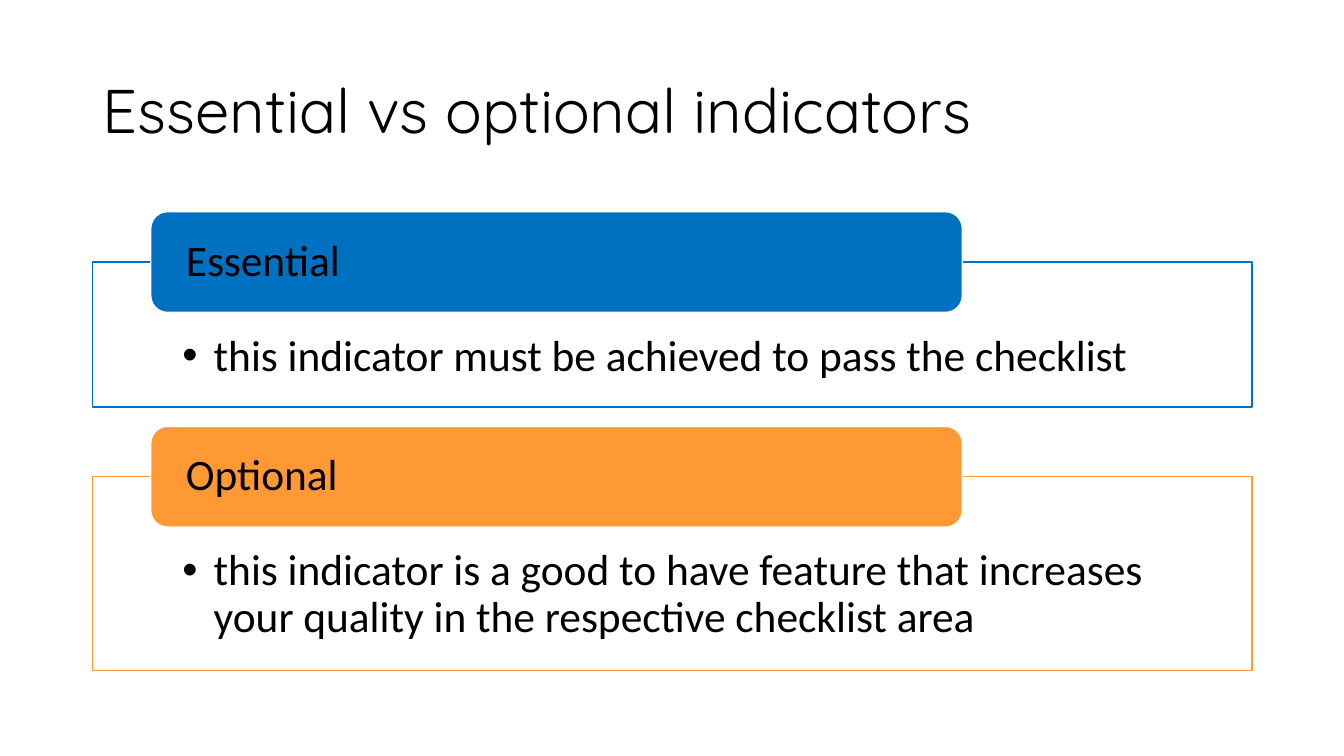
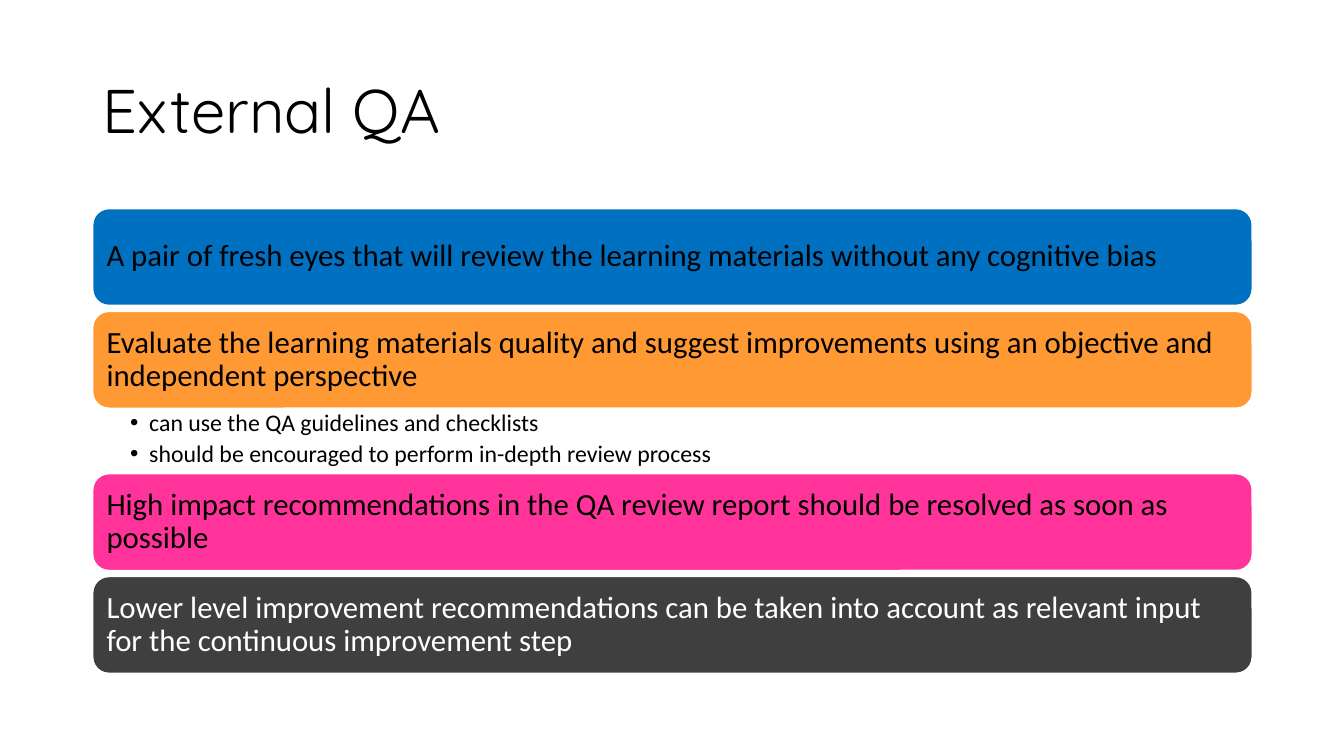
import pptx
import pptx.util
import pptx.dml.color
import pptx.enum.shapes
import pptx.enum.text
from lxml import etree

Inches = pptx.util.Inches
Pt = pptx.util.Pt
SHAPE = pptx.enum.shapes.MSO_SHAPE
ANCHOR = pptx.enum.text.MSO_ANCHOR

BLUE, ORANGE, PINK, GREY = "0070C0", "FF9933", "FF3399", "3F3F3F"
BLACK, WHITE = "000000", "FFFFFF"
TITLE_FONT, BODY_FONT = "Quicksand", "Calibri"
LEFT, WIDTH = 0.92, 11.5

INDICATORS = [
    ("Essential", BLUE, 1.44, "this indicator must be achieved to pass the checklist"),
    ("Optional", ORANGE, 1.92,
     "this indicator is a good to have feature that increases your quality "
     "in the respective checklist area"),
]
REVIEW_POINTS = [
    ("A pair of fresh eyes that will review the learning materials without any "
     "cognitive bias", BLUE, BLACK, []),
    ("Evaluate the learning materials quality and suggest improvements using an "
     "objective and independent perspective", ORANGE, BLACK,
     ["can use the QA guidelines and checklists",
      "should be encouraged to perform in-depth review process"]),
    ("High impact recommendations in the QA review report should be resolved as "
     "soon as possible", PINK, BLACK, []),
    ("Lower level improvement recommendations can be taken into account as relevant "
     "input for the continuous improvement step", GREY, WHITE, []),
]


def rgb(value):
    return pptx.dml.color.RGBColor.from_string(value)


def add_bullet(p, indent):
    pPr = p._p.get_or_add_pPr()
    pPr.set("marL", str(Inches(indent)))
    pPr.set("indent", str(-Inches(indent)))
    for tag, name, value in (("buFont", "typeface", "Arial"), ("buChar", "char", "•")):
        etree.SubElement(pPr, pptx.oxml.ns.qn("a:" + tag)).set(name, value)


def write(sp, lines, size, color=BLACK, font=BODY_FONT, anchor=ANCHOR.MIDDLE,
          insets=(0.1, 0.05, 0.1, 0.05), indent=0, gap=0):
    """Fill a shape with paragraphs; an indent makes them bullets."""
    tf = sp.text_frame
    tf.word_wrap = True
    tf.vertical_anchor = anchor
    (tf.margin_left, tf.margin_top,
     tf.margin_right, tf.margin_bottom) = map(Inches, insets)
    tf.text = "\n".join(lines)
    for i, p in enumerate(tf.paragraphs):
        p.alignment = pptx.enum.text.PP_ALIGN.LEFT
        p.line_spacing = 0.9
        if i:
            p.space_before = Pt(gap)
        if indent:
            add_bullet(p, indent)
        for r in p.runs:
            r.font.size = Pt(size)
            r.font.name = font
            r.font.color.rgb = rgb(color)


def add_box(s, kind, x, y, w, h, fill, line):
    sp = s.shapes.add_shape(kind, Inches(x), Inches(y), Inches(w), Inches(h))
    sp.shadow.inherit = False
    sp.fill.solid()
    sp.fill.fore_color.rgb = rgb(fill)
    sp.line.color.rgb = rgb(line)
    sp.line.width = Pt(1)
    return sp


def add_text_box(s, x, y, w, h):
    return s.shapes.add_textbox(Inches(x), Inches(y), Inches(w), Inches(h))


def add_titled_slide(prs, title):
    s = prs.slides.add_slide(prs.slide_layouts[6])
    write(add_text_box(s, LEFT, 0.4, WIDTH, 1.45), [title], 44, font=TITLE_FONT)
    return s


def add_indicator(s, x, y, w, h, label, color, text):
    """Outlined box of height h with a label straddling its top edge."""
    box = add_box(s, SHAPE.RECTANGLE, x, y, w, h, WHITE, color)
    write(box, [text], 31, anchor=ANCHOR.TOP, insets=(0.89, 0.71, 0.89, 0.24), indent=0.31)
    tab = add_box(s, SHAPE.ROUNDED_RECTANGLE, x + 0.05 * w, y - 0.5, 0.7 * w, 1, color, WHITE)
    write(tab, [label], 31, insets=(0.3, 0, 0.3, 0))


def build_indicators(prs):
    s = add_titled_slide(prs, "Essential vs optional indicators")
    y = 2.6
    for label, color, h, text in INDICATORS:
        add_indicator(s, LEFT, y, WIDTH, h, label, color, text)
        y += h + 0.69


def build_review(prs):
    s = add_titled_slide(prs, "External QA")
    y, bar_h, bullets_h = 2.07, 0.96, 0.65
    for text, fill, color, bullets in REVIEW_POINTS:
        bar = add_box(s, SHAPE.ROUNDED_RECTANGLE, LEFT, y, WIDTH, bar_h, fill, WHITE)
        write(bar, [text], 22, color, insets=(0.09,) * 4)
        y += bar_h
        if bullets:
            box = add_text_box(s, LEFT, y, WIDTH, bullets_h)
            write(box, bullets, 17, anchor=ANCHOR.TOP,
                  insets=(0.37, 0.03, 0.17, 0.03), indent=0.19, gap=3.4)
            y += bullets_h
        else:
            y += 0.06


def main():
    prs = pptx.Presentation()
    prs.slide_width, prs.slide_height = Inches(13.33), Inches(7.5)
    build_indicators(prs)
    build_review(prs)
    prs.save("out.pptx")


if __name__ == "__main__":
    main()
